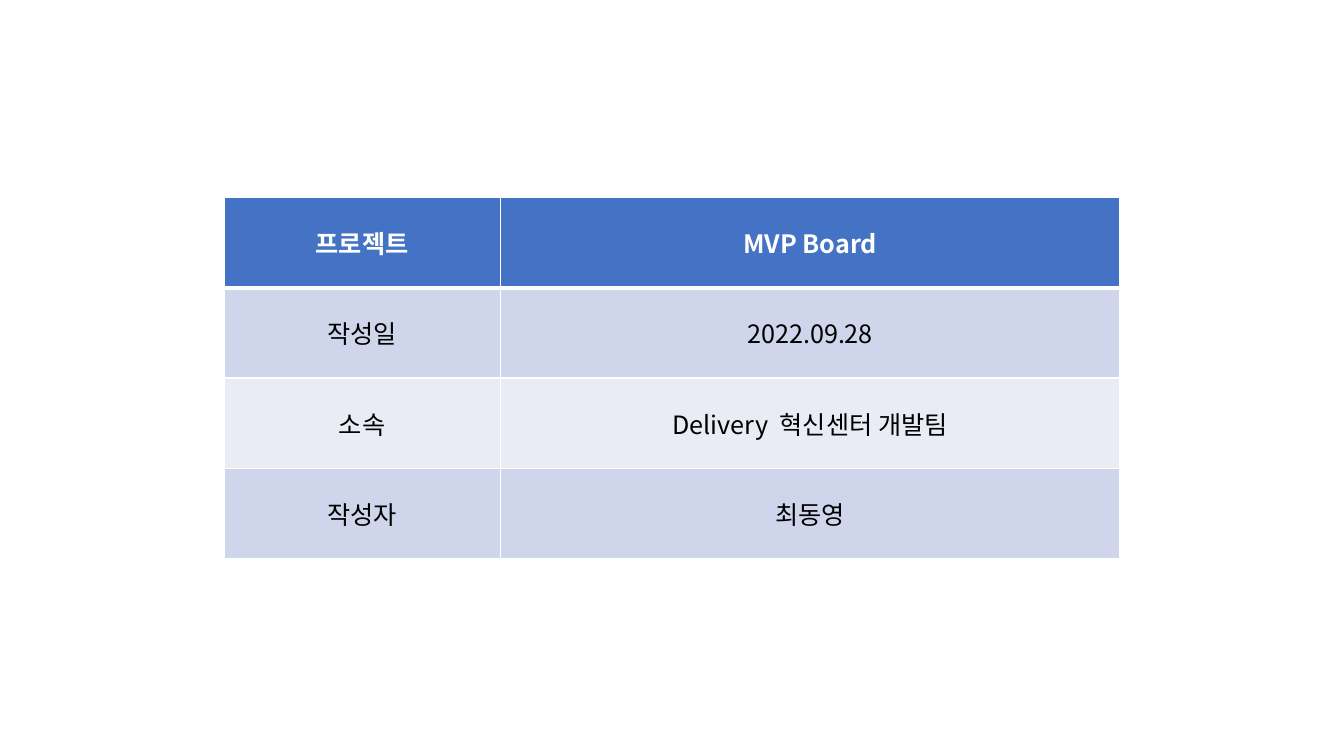
from lxml import etree
from pptx import Presentation
from pptx.dml.color import RGBColor
from pptx.enum.text import MSO_ANCHOR, PP_ALIGN
from pptx.oxml.ns import qn
from pptx.util import Pt

CENTER = PP_ALIGN.CENTER
MIDDLE = MSO_ANCHOR.MIDDLE
WHITE = RGBColor(0xFF, 0xFF, 0xFF)
BLACK = RGBColor(0, 0, 0)
BLUE = RGBColor(0x44, 0x72, 0xC4)
BAND = RGBColor(0xCF, 0xD5, 0xEA)
PALE = RGBColor(0xE9, 0xEB, 0xF5)
FONT = "Noto Sans CJK KR"
ROWS = [
    ("프로젝트", "MVP Board"),
    ("작성일", "2022.09.28"),
    ("소속", "Delivery  혁신센터 개발팀"),
    ("작성자", "최동영"),
]


def write(frame, text, size=18, color=BLACK, bold=False, align=CENTER):
    para = frame.paragraphs[0]
    para.alignment = align
    run = para.add_run()
    run.text = text
    font = run.font
    font.name = FONT
    font.size = Pt(size)
    font.bold = bold
    font.color.rgb = color
    east = etree.SubElement(font._element, qn("a:ea"))
    east.set("typeface", FONT)


def edge(cell, side, width, color=WHITE):
    props = cell._tc.get_or_add_tcPr()
    line = etree.SubElement(props, qn("a:ln" + side), w=str(Pt(width)))
    fill = etree.SubElement(line, qn("a:solidFill"))
    etree.SubElement(fill, qn("a:srgbClr"), val=str(color))


def info_table(slide, left, top, width, height):
    frame = slide.shapes.add_table(
        len(ROWS), 2, Pt(left), Pt(top), Pt(width), Pt(height))
    table = frame.table
    first = 197.4
    table.columns[0].width = Pt(first)
    table.columns[1].width = Pt(width - first)
    for r, texts in enumerate(ROWS):
        table.rows[r].height = Pt(height / len(ROWS))
        head = r == 0
        back = BLUE if head else BAND if r % 2 else PALE
        for c, text in enumerate(texts):
            cell = table.cell(r, c)
            cell.vertical_anchor = MIDDLE
            for side in "LRTB":
                thick = (side == "B" and head) or (side == "T" and r == 1)
                edge(cell, side, 3 if thick else 1)
            cell.fill.solid()
            cell.fill.fore_color.rgb = back
            write(cell.text_frame, text, bold=head,
                  color=WHITE if head else BLACK)


def main():
    deck = Presentation()
    deck.slide_width = Pt(960)
    deck.slide_height = Pt(540)
    slide = deck.slides.add_slide(deck.slide_layouts[6])
    info_table(slide, 160, 141, 640, 258)
    deck.save("out.pptx")


if __name__ == "__main__":
    main()
